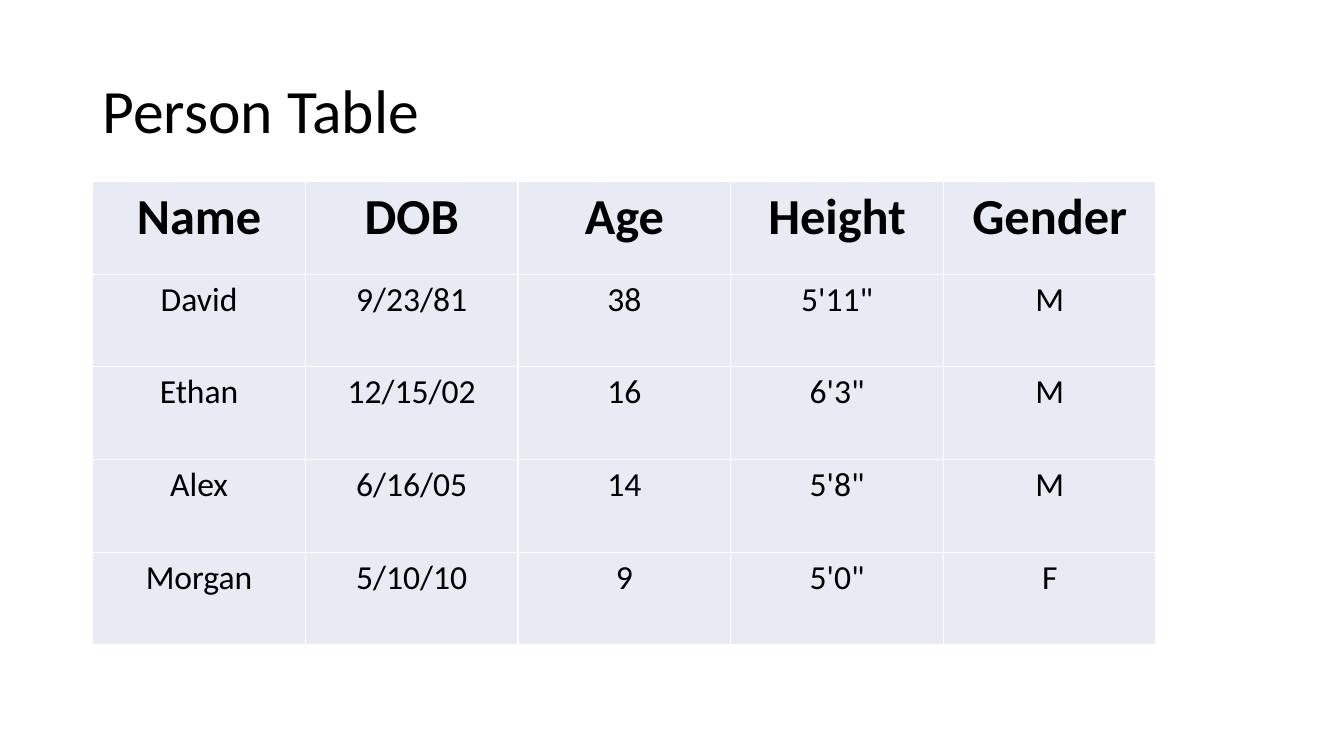
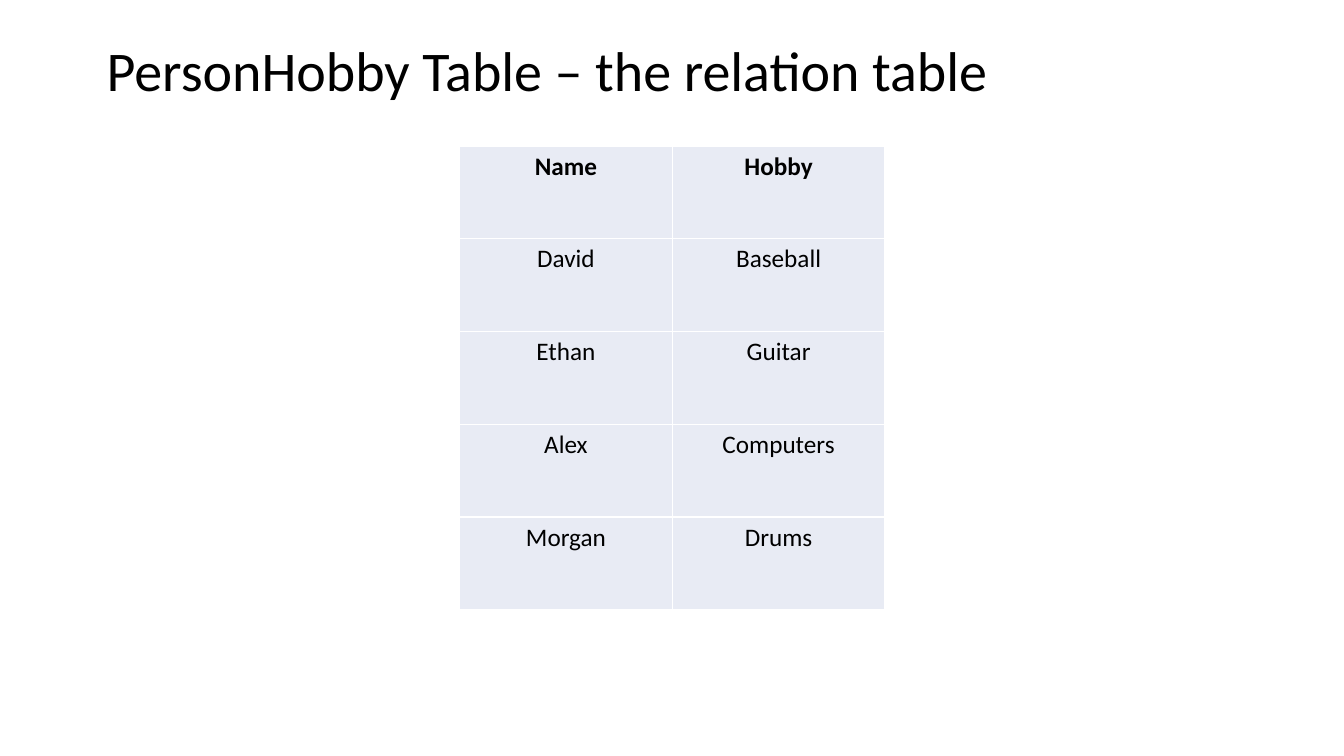
from dataclasses import dataclass

from lxml.etree import SubElement
from pptx import Presentation
from pptx.dml.color import RGBColor
from pptx.enum.text import MSO_ANCHOR as Anchor, PP_ALIGN as Align
from pptx.oxml.ns import qn
from pptx.slide import Slide
from pptx.table import _Cell as Cell
from pptx.text.text import _Paragraph as Paragraph
from pptx.util import Pt

# Shared style
BLACK = RGBColor(0x00, 0x00, 0x00)
WHITE = RGBColor(0xFF, 0xFF, 0xFF)
PALE_BLUE = RGBColor(0xE8, 0xEB, 0xF4)
FONT = "Calibri"
TITLE_WIDTH, TITLE_HEIGHT = 828, 104.4
COLUMN_WIDTH, ROW_HEIGHT = 151.92, 66.24
SIDE_MARGIN = 0.72
BORDER_WIDTH = 0.96


@dataclass(frozen=True)
class TableSlide:
    title: str
    title_left: float
    title_top: float
    title_size: float
    table_left: float
    table_top: float
    header_size: float
    body_size: float
    rows: list[tuple[str, ...]]


# Content
TABLE_SLIDES = [
    TableSlide(
        "Person Table", 66.24, 28.8, 44, 66.24, 129.6, 36, 24,
        [
            ("Name", "DOB", "Age", "Height", "Gender"),
            ("David", "9/23/81", "38", "5'11\"", "M"),
            ("Ethan", "12/15/02", "16", "6'3\"", "M"),
            ("Alex", "6/16/05", "14", "5'8\"", "M"),
            ("Morgan", "5/10/10", "9", "5'0\"", "F"),
        ],
    ),
    TableSlide(
        "PersonHobby Table – the relation table", 69.12, 0, 40, 328.32, 104.4, 18, 18,
        [
            ("Name", "Hobby"),
            ("David", "Baseball"),
            ("Ethan", "Guitar"),
            ("Alex", "Computers"),
            ("Morgan", "Drums"),
        ],
    ),
]


def set_font(paragraph: Paragraph, size: float, bold: bool = False) -> None:
    font = paragraph.font
    font.name, font.size, font.bold = FONT, Pt(size), bold
    font.color.rgb = BLACK


def add_title(slide: Slide, content: TableSlide) -> None:
    title = slide.shapes.add_textbox(
        Pt(content.title_left), Pt(content.title_top), Pt(TITLE_WIDTH), Pt(TITLE_HEIGHT)
    )
    frame = title.text_frame
    frame.word_wrap = True
    frame.vertical_anchor = Anchor.MIDDLE
    paragraph = frame.paragraphs[0]
    paragraph.text = content.title
    paragraph.line_spacing = 0.9
    set_font(paragraph, content.title_size)


def add_borders(cell: Cell) -> None:
    """Draw all four sides; call before filling, as lines precede the fill in the XML."""
    properties = cell._tc.get_or_add_tcPr()
    for side in ("lnL", "lnR", "lnT", "lnB"):
        line = SubElement(properties, qn(f"a:{side}"), w=str(Pt(BORDER_WIDTH)))
        fill = SubElement(line, qn("a:solidFill"))
        SubElement(fill, qn("a:srgbClr"), val=str(WHITE))


def fill_cell(cell: Cell, text: str, size: float, bold: bool) -> None:
    add_borders(cell)
    cell.fill.solid()
    cell.fill.fore_color.rgb = PALE_BLUE
    cell.margin_left = cell.margin_right = Pt(SIDE_MARGIN)
    paragraph = cell.text_frame.paragraphs[0]
    paragraph.text = text
    paragraph.alignment = Align.CENTER
    set_font(paragraph, size, bold)


def add_data_table(slide: Slide, content: TableSlide) -> None:
    row_count, column_count = len(content.rows), len(content.rows[0])
    table = slide.shapes.add_table(
        row_count, column_count,
        Pt(content.table_left), Pt(content.table_top),
        Pt(column_count * COLUMN_WIDTH), Pt(row_count * ROW_HEIGHT),
    ).table
    table.horz_banding = False
    for column in table.columns:
        column.width = Pt(COLUMN_WIDTH)
    for r, values in enumerate(content.rows):
        table.rows[r].height = Pt(ROW_HEIGHT)
        is_header = r == 0
        size = content.header_size if is_header else content.body_size
        for c, value in enumerate(values):
            fill_cell(table.cell(r, c), value, size, is_header)


def main() -> None:
    deck = Presentation()
    deck.slide_width, deck.slide_height = Pt(960), Pt(540)
    blank = deck.slide_layouts[6]
    for content in TABLE_SLIDES:
        slide = deck.slides.add_slide(blank)
        add_title(slide, content)
        add_data_table(slide, content)
    deck.save("out.pptx")


if __name__ == "__main__":
    main()
